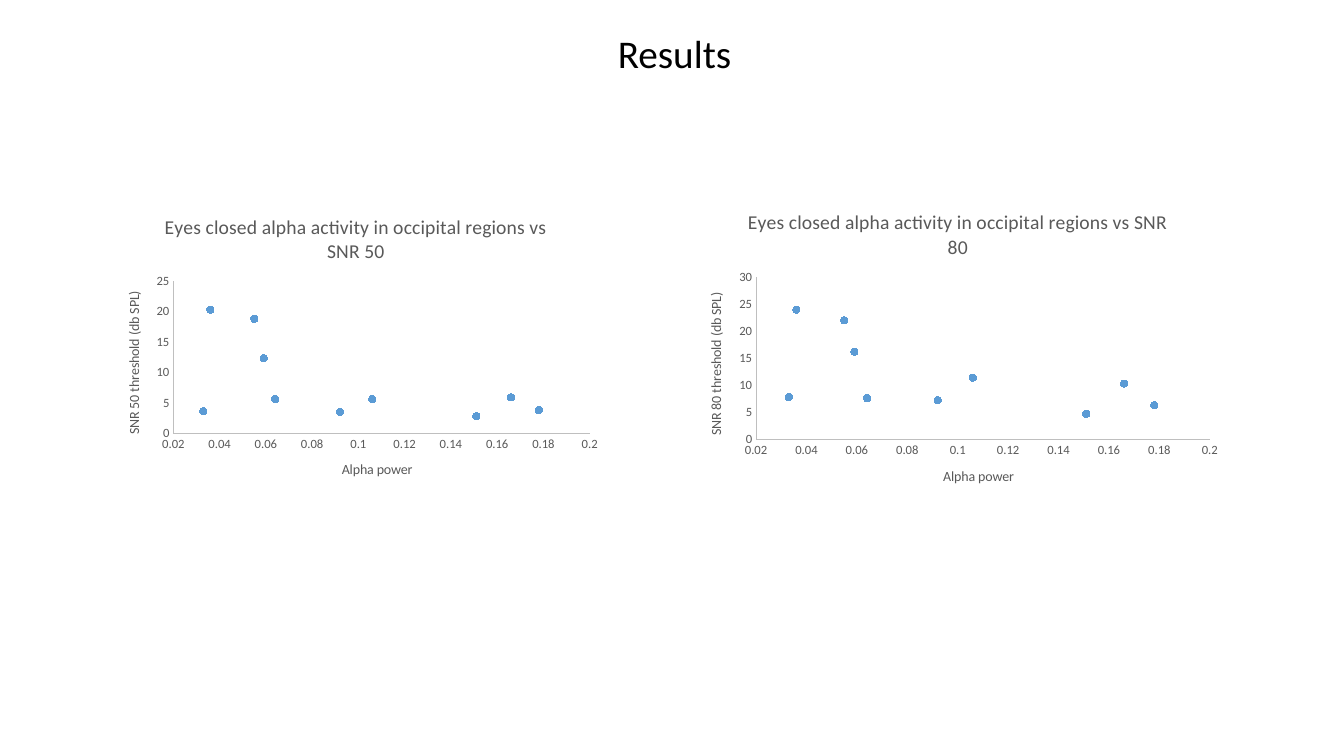
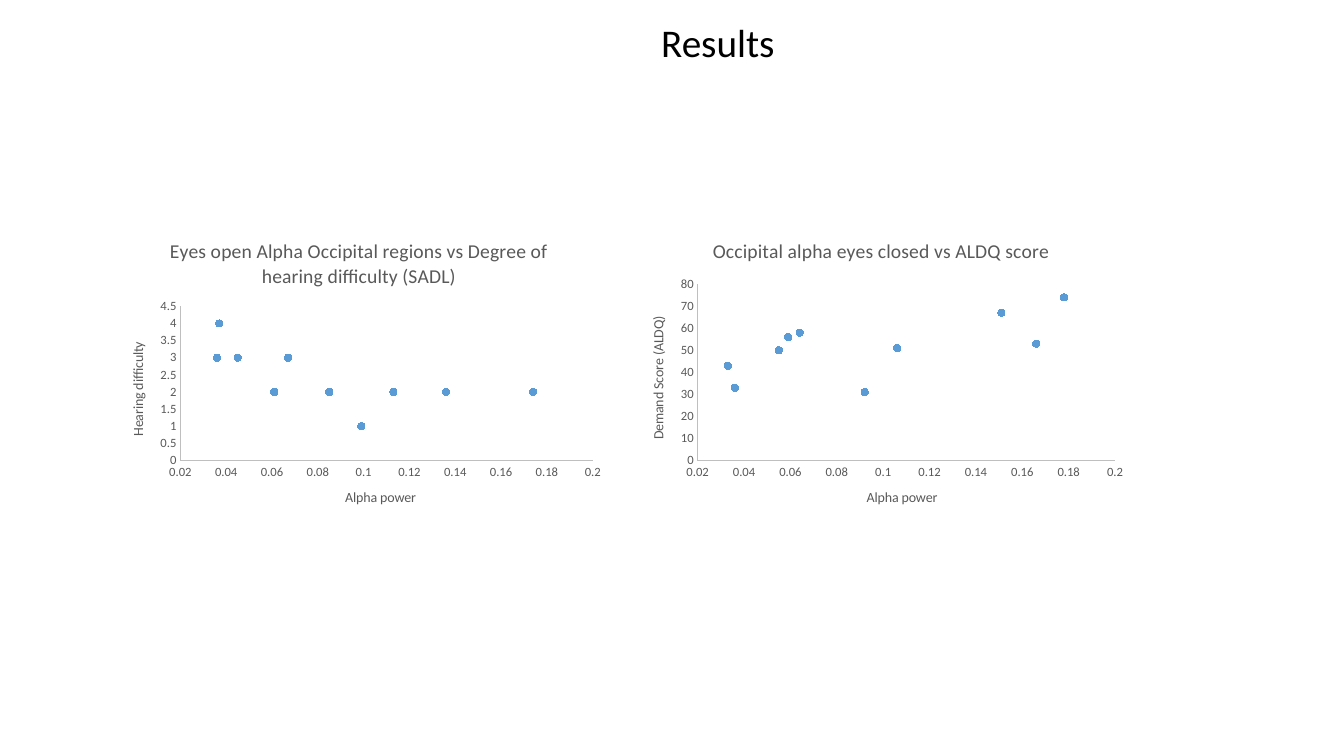
import pptx
import pptx.chart.data
import pptx.dml.color
import pptx.enum.chart
import pptx.enum.text
import pptx.oxml
import pptx.oxml.ns
import pptx.util

Inches, Pt = pptx.util.Inches, pptx.util.Pt
RGB = pptx.dml.color.RGBColor.from_string
FONT = "Calibri"
COLORS = {"title": "000000", "text": "595959", "axis": "BFBFBF", "marker": "5B9BD5"}

# Alpha power per participant
CLOSED = [0.055, 0.036, 0.059, 0.092, 0.033, 0.151, 0.064, 0.178, 0.166, 0.106]
OPEN = [0.067, 0.036, 0.045, 0.099, 0.061, 0.085, 0.037, 0.174, 0.136, 0.113]

# Each slide: title position, then charts with frame and plot boxes in inches
SLIDES = [
    ((6.02, 0.24), [
        dict(title="Eyes closed alpha activity in occipital regions vs SNR 80",
             y_title="SNR 80 threshold (db SPL)", top=30, step=5, x=CLOSED,
             y=[22, 24, 16.2, 7.2, 7.8, 4.7, 7.6, 6.3, 10.3, 11.4],
             frame=(6.8, 1.92, 5.4, 3.1), plot=(7.5, 2.75, 4.5, 1.61)),
        dict(title="Eyes closed alpha activity in occipital regions vs SNR 50",
             y_title="SNR 50 threshold (db SPL)", top=25, step=5, x=CLOSED,
             y=[18.8, 20.3, 12.3, 3.5, 3.6, 2.8, 5.6, 3.8, 5.9, 5.6],
             frame=(1.03, 1.97, 5, 3), plot=(1.72, 2.79, 4.13, 1.51)),
    ]),
    ((6.45, 0.13), [
        dict(title="Eyes open Alpha Occipital regions vs Degree of hearing difficulty (SADL)",
             y_title="Hearing difficulty", top=4.5, step=0.5, x=OPEN,
             y=[3, 3, 3, 1, 2, 2, 4, 2, 2, 2],
             frame=(1.06, 2.21, 5, 3), plot=(1.79, 3.04, 4.09, 1.53)),
        dict(title="Occipital alpha eyes closed vs ALDQ score",
             y_title="Demand Score (ALDQ)", top=80, step=10, x=CLOSED,
             y=[50, 33, 56, 31, 43, 67, 58, 74, 53, 51],
             frame=(6.24, 2.21, 5, 3), plot=(6.92, 2.82, 4.14, 1.75)),
    ]),
]


def style_font(font, size, color):
    font.name, font.size, font.bold = FONT, Pt(size), False
    font.color.rgb = RGB(COLORS[color])


def set_plot_box(chart, frame, plot):
    """Fix the inner plot area, as fractions of the chart frame."""
    area = chart._chartSpace.chart.plotArea
    for old in area.findall(pptx.oxml.ns.qn("c:layout")):
        area.remove(old)
    parts = {"x": (plot[0] - frame[0]) / frame[2], "y": (plot[1] - frame[1]) / frame[3],
             "w": plot[2] / frame[2], "h": plot[3] / frame[3]}
    modes = "".join(f'<c:{k}Mode val="edge"/>' for k in "xy")
    values = "".join(f'<c:{k} val="{v:.4f}"/>' for k, v in parts.items())
    area.insert(0, pptx.oxml.parse_xml(
        f'<c:layout {pptx.oxml.ns.nsdecls("c")}><c:manualLayout>'
        f'<c:layoutTarget val="inner"/>{modes}{values}</c:manualLayout></c:layout>'))


prs = pptx.Presentation()
prs.slide_width, prs.slide_height = Inches(13.33), Inches(7.5)

for (left, top), charts in SLIDES:
    s = prs.slides.add_slide(prs.slide_layouts[5])

    # Slide title
    sp = s.shapes.title
    sp.left, sp.top, sp.width, sp.height = (Inches(v) for v in (left, top, 1.34, 0.57))
    tf = sp.text_frame
    tf.text = "Results"
    tf.word_wrap = False
    tf.auto_size = pptx.enum.text.MSO_AUTO_SIZE.NONE
    tf.vertical_anchor = pptx.enum.text.MSO_ANCHOR.TOP
    style_font(tf.paragraphs[0].runs[0].font, 28, "title")

    # Scatter charts
    for spec_row in charts:
        data = pptx.chart.data.XyChartData()
        series = data.add_series("Series 1")
        for x, y in zip(spec_row["x"], spec_row["y"]):
            series.add_data_point(x, y)
        chart = s.shapes.add_chart(pptx.enum.chart.XL_CHART_TYPE.XY_SCATTER,
                                   *(Inches(v) for v in spec_row["frame"]), data).chart
        style_font(chart.font, 10, "title")
        chart.has_legend = False
        set_plot_box(chart, spec_row["frame"], spec_row["plot"])

        # Markers without a joining line
        plot = chart.plots[0]
        plot.vary_by_categories = False
        ser = plot.series[0]
        ser.smooth = False
        ser.format.line.fill.background()
        ser.marker.style = pptx.enum.chart.XL_MARKER_STYLE.CIRCLE
        ser.marker.size = 5
        ser.marker.format.fill.solid()
        ser.marker.format.fill.fore_color.rgb = RGB(COLORS["marker"])
        ser.marker.format.line.color.rgb = RGB(COLORS["marker"])

        # Axes
        x_axis, y_axis = chart.category_axis, chart.value_axis
        x_axis.minimum_scale, x_axis.maximum_scale, x_axis.major_unit = 0.02, 0.2, 0.02
        y_axis.minimum_scale, y_axis.maximum_scale = 0, spec_row["top"]
        y_axis.major_unit = spec_row["step"]
        for axis in (x_axis, y_axis):
            axis.has_major_gridlines = False
            axis.major_tick_mark = axis.minor_tick_mark = pptx.enum.chart.XL_TICK_MARK.NONE
            axis.tick_labels.number_format = "General"
            axis.tick_labels.number_format_is_linked = False
            style_font(axis.tick_labels.font, 9, "text")
            axis.format.line.color.rgb = RGB(COLORS["axis"])
            axis.format.line.width = Pt(0.75)

        # Chart and axis titles
        for owner, text, size in ((chart, spec_row["title"], 14), (x_axis, "Alpha power", 10),
                                  (y_axis, spec_row["y_title"], 10)):
            owner.has_title = True
            title = owner.chart_title if owner is chart else owner.axis_title
            title.text_frame.text = text
            style_font(title.text_frame.paragraphs[0].runs[0].font, size, "text")
        y_axis.axis_title.text_frame._txBody.bodyPr.set("rot", "-5400000")
        chart.chart_title.include_in_layout = False

prs.save("out.pptx")
